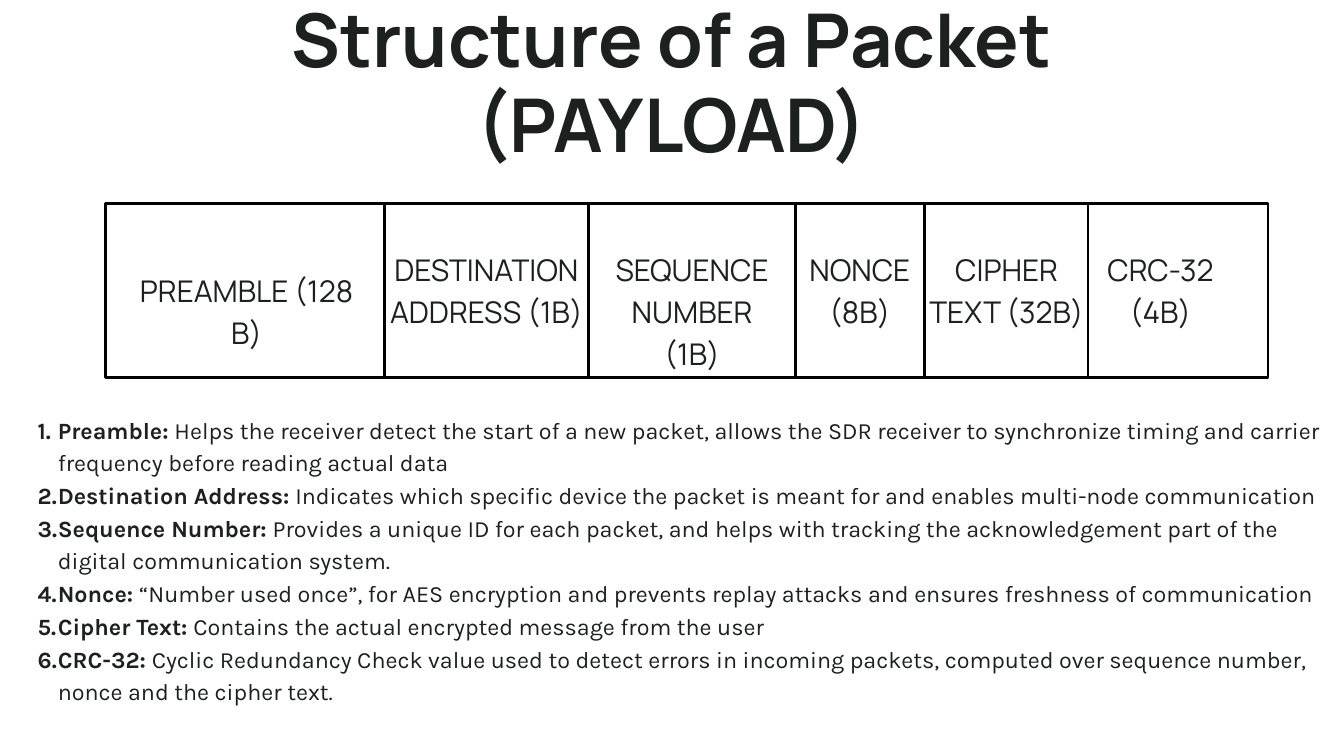
"""Build a slide that shows the fields of a packet payload and explains each one."""
from lxml import etree
from pptx import Presentation
from pptx import util as u
from pptx.dml.color import RGBColor
from pptx.enum import shapes, text
from pptx.oxml.ns import qn

COLOURS = {"ink": "1C2120", "line": "000000", "paper": "FFFFFF"}
FRAME_LEFT, FRAME_TOP, FRAME_WIDTH, FRAME_HEIGHT = 1.57, 3.03, 17.3, 2.59
DIVIDERS = [5.72, 8.76, 11.84, 13.76, 16.19]
FIELDS = [
    (["PREAMBLE (128 B)"], 1.81, 3.97, 3.72),
    (["DESTINATION", "ADDRESS (1B)"], 5.79, 3.66, 2.9),
    (["SEQUENCE", "NUMBER (1B)"], 8.95, 3.66, 2.7),
    (["NONCE", "(8B)"], 12.02, 3.66, 1.55),
    (["CIPHER", "TEXT (32B)"], 13.83, 3.66, 2.3),
    (["CRC-32", "(4B)"], 16.41, 3.66, 1.72),
]
DESCRIPTIONS = [
    ("Preamble:", "Helps the receiver detect the start of a new packet, allows the SDR receiver to "
     "synchronize timing and carrier frequency before reading actual data"),
    ("Destination Address:", "Indicates which specific device the packet is meant for and enables "
     "multi-node communication"),
    ("Sequence Number:", "Provides a unique ID for each packet, and helps with tracking the "
     "acknowledgement part of the digital communication system."),
    ("Nonce:", "“Number used once”, for AES encryption and prevents replay attacks and ensures "
     "freshness of communication"),
    ("Cipher Text:", "Contains the actual encrypted message from the user"),
    ("CRC-32:", "Cyclic Redundancy Check value used to detect errors in incoming packets, computed "
     "over sequence number, nonce and the cipher text."),
]


def prepare_frame(shape, left, top, width, height):
    """Place a text shape and return its frame without insets."""
    shape.left, shape.top = u.Inches(left), u.Inches(top)
    shape.width, shape.height = u.Inches(width), u.Inches(height)
    frame = shape.text_frame
    frame.margin_left = frame.margin_right = frame.margin_top = frame.margin_bottom = 0
    frame.word_wrap = True
    frame.auto_size = text.MSO_AUTO_SIZE.NONE
    frame.vertical_anchor = text.MSO_ANCHOR.TOP
    return frame


def add_paragraph(frame, index, runs, font_name, size, spacing, alignment):
    """Fill one paragraph with (words, bold) runs and return it."""
    paragraph = frame.paragraphs[0] if index == 0 else frame.add_paragraph()
    paragraph.alignment = alignment
    paragraph.line_spacing = u.Pt(spacing)
    paragraph.space_before = paragraph.space_after = u.Pt(0)
    for words, bold in runs:
        run = paragraph.add_run()
        run.text = words
        run.font.name, run.font.size, run.font.bold = font_name, u.Pt(size), bold
        run.font.color.rgb = RGBColor.from_string(COLOURS["ink"])
    return paragraph


presentation = Presentation()
presentation.slide_width, presentation.slide_height = u.Inches(20), u.Inches(11.25)
slide = presentation.slides.add_slide(presentation.slide_layouts[1])
slide.background.fill.solid()
slide.background.fill.fore_color.rgb = RGBColor.from_string(COLOURS["paper"])

title_frame = prepare_frame(slide.shapes.title, 3.89, -0.03, 12.21, 2.6)
for index, words in enumerate(["Structure of a Packet", "(PAYLOAD)"]):
    add_paragraph(title_frame, index, [(words, True)], "Manrope", 79.4, 90.5, text.PP_ALIGN.CENTER)

packet = slide.shapes.add_shape(
    shapes.MSO_SHAPE.RECTANGLE, u.Inches(FRAME_LEFT), u.Inches(FRAME_TOP),
    u.Inches(FRAME_WIDTH), u.Inches(FRAME_HEIGHT))
packet.shadow.inherit = False
packet.fill.solid()
packet.fill.fore_color.rgb = RGBColor.from_string(COLOURS["paper"])
packet.line.color.rgb = RGBColor.from_string(COLOURS["line"])
packet.line.width = u.Pt(3)

for x in DIVIDERS:
    divider = slide.shapes.add_connector(
        shapes.MSO_CONNECTOR.STRAIGHT, u.Inches(x), u.Inches(FRAME_TOP),
        u.Inches(x), u.Inches(FRAME_TOP + FRAME_HEIGHT))
    divider.line.color.rgb = RGBColor.from_string(COLOURS["line"])
    divider.line.width = u.Pt(3)
    etree.SubElement(divider._element.spPr, qn("a:effectLst"))

for lines, left, top, width in FIELDS:
    label = slide.shapes.add_textbox(0, 0, 0, 0)
    label_frame = prepare_frame(label, left, top, width, 0.62 * len(lines))
    for index, words in enumerate(lines):
        add_paragraph(label_frame, index, [(words, False)], "Manrope", 32, 44.8, text.PP_ALIGN.CENTER)

body_frame = prepare_frame(slide.placeholders[1], 0.27, 6.12, 19.73, 4.31)
for index, (name, meaning) in enumerate(DESCRIPTIONS):
    runs = [(name + " ", True), (meaning, False)]
    paragraph = add_paragraph(body_frame, index, runs, "Karla", 25, 35, text.PP_ALIGN.LEFT)
    properties = paragraph._p.get_or_add_pPr()
    properties.set("marL", str(u.Inches(0.59)))
    properties.set("indent", str(u.Inches(-0.3)))
    etree.SubElement(properties, qn("a:buFont"), typeface="+mj-lt")
    etree.SubElement(properties, qn("a:buAutoNum"), type="arabicPeriod")
    paragraph.font.name = "Karla"

presentation.save("out.pptx")
